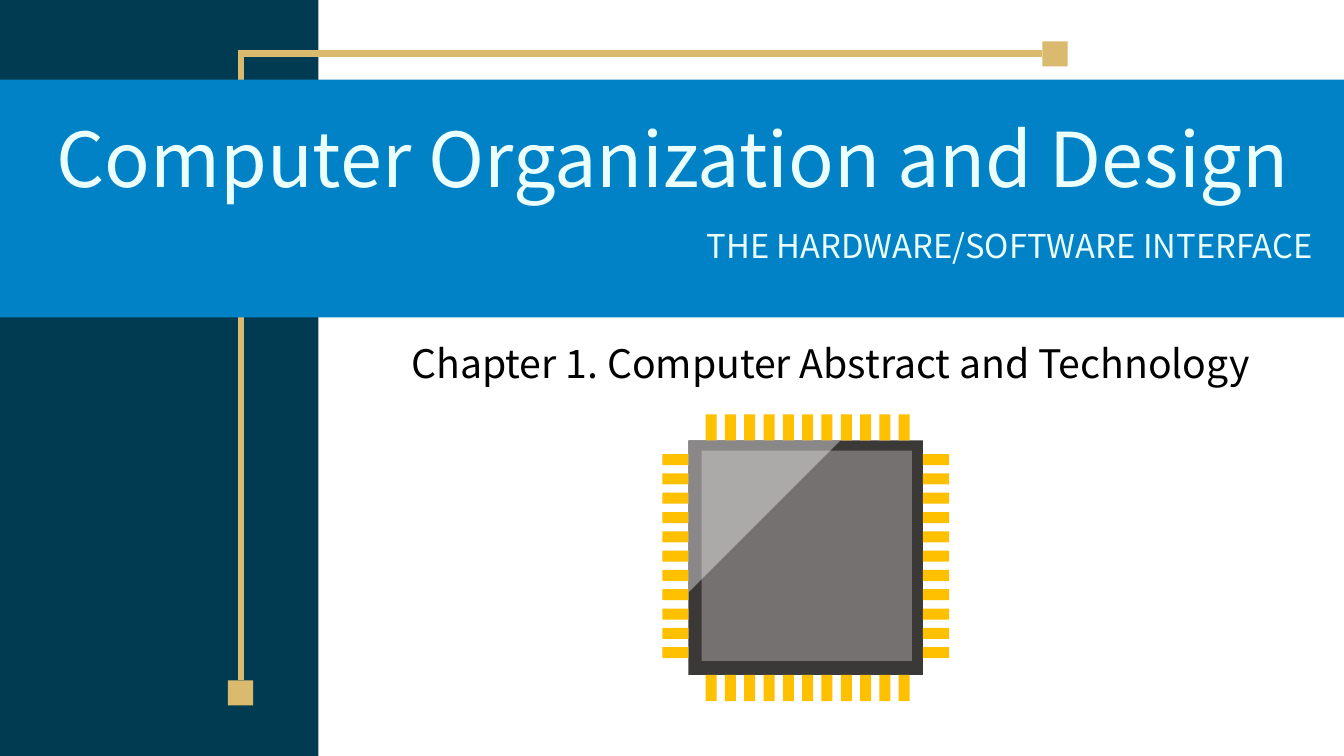
from lxml.etree import SubElement
from pptx import Presentation
from pptx.dml.color import RGBColor
from pptx.enum.shapes import MSO_CONNECTOR, MSO_SHAPE
from pptx.enum.text import MSO_ANCHOR, PP_ALIGN
from pptx.oxml.ns import qn
from pptx.util import Inches, Pt

WIDTH, HEIGHT = Inches(13.333), Inches(7.5)
FONT = "Noto Sans CJK KR"
COLORS = {
    "sidebar": "013B51",
    "banner": "0182C6",
    "gold": "DABA6F",
    "banner_text": "EBFFFF",
    "chapter_text": "000000",
    "chip": "3B3838",
    "die": "767171",
    "pin": "FFC000",
    "glare": "FFFFFF",
}
SQUARE = (1.88, 3.33)
PIN_COUNT = 11


def color(name):
    return RGBColor.from_string(COLORS[name])


def on_slide(x, y):
    """Turn percentages of the slide's width and height into lengths."""
    return round(WIDTH * x / 100), round(HEIGHT * y / 100)


CHIP_LEFT, CHIP_TOP = on_slide(51.23, 58.27)
CHIP_SIDE = round(HEIGHT * 0.31)


def on_chip(percent):
    return round(CHIP_SIDE * percent / 100)


def paint(shape, name):
    shape.shadow.inherit = False
    shape.fill.solid()
    shape.fill.fore_color.rgb = color(name)
    shape.line.fill.background()


def add_block(shapes, position, size, name):
    block = shapes.add_shape(MSO_SHAPE.RECTANGLE, *position, *size)
    paint(block, name)


def add_wire(shapes, start, end):
    wire = shapes.add_connector(MSO_CONNECTOR.STRAIGHT, *on_slide(*start), *on_slide(*end))
    wire.line.color.rgb = color("gold")
    wire.line.width = Pt(4.5)
    SubElement(wire.line._get_or_add_ln().getparent(), qn("a:effectLst"))


def add_label(slide, text, position, size, points, name, anchor):
    box = slide.shapes.add_textbox(*on_slide(*position), *on_slide(*size))
    frame = box.text_frame
    frame.word_wrap = True
    frame.vertical_anchor = anchor
    paragraph = frame.paragraphs[0]
    paragraph.alignment = PP_ALIGN.CENTER
    paragraph.line_spacing = 0.9
    run = paragraph.add_run()
    run.text = text
    run.font.size = Pt(points)
    run.font.color.rgb = color(name)
    run.font.name = FONT
    east_asian = SubElement(run.font._element, qn("a:ea"))
    east_asian.set("typeface", FONT)


def add_chip_block(shapes, x, y, width, height, name):
    """Place a block by percentages of the chip's side."""
    position = CHIP_LEFT + on_chip(x), CHIP_TOP + on_chip(y)
    add_block(shapes, position, (on_chip(width), on_chip(height)), name)


def add_pins(shapes):
    length, thickness, pitch = 11.2, 4.7, 8.24
    for index in range(PIN_COUNT):
        along = index * pitch
        for outer in (-length, 100):
            add_chip_block(shapes, 7.3 + along, outer, thickness, length, "pin")
            add_chip_block(shapes, outer, 5.8 + along, length, thickness, "pin")


def add_glare(shapes):
    reach = on_chip(64.8)
    builder = shapes.build_freeform(CHIP_LEFT, CHIP_TOP)
    builder.add_line_segments(
        [(CHIP_LEFT + reach, CHIP_TOP), (CHIP_LEFT, CHIP_TOP + reach)], close=True
    )
    glare = builder.convert_to_shape()
    paint(glare, "glare")
    tint = next(glare.element.spPr.iter(qn("a:srgbClr")))
    SubElement(tint, qn("a:alpha")).set("val", "40000")


def add_chip(slide):
    shapes = slide.shapes.add_group_shape().shapes
    add_chip_block(shapes, 0, 0, 100, 100, "chip")
    add_chip_block(shapes, 5.6, 4.3, 89.7, 89.7, "die")
    add_pins(shapes)
    add_glare(shapes)


def add_frame(slide):
    """Draw the sidebar, the gold wires with their end squares, and the banner."""
    add_block(slide.shapes, (0, 0), on_slide(23.7, 100), "sidebar")
    wires = slide.shapes.add_group_shape().shapes
    add_wire(wires, (17.93, 90), (17.93, 6.67))
    add_wire(wires, (77.55, 7.07), (17.93, 7.07))
    add_block(wires, on_slide(77.55, 5.47), on_slide(*SQUARE), "gold")
    add_block(slide.shapes, on_slide(0, 10.53), on_slide(100, 31.47), "banner")
    add_block(slide.shapes, on_slide(16.95, 90), on_slide(*SQUARE), "gold")


def main():
    presentation = Presentation()
    presentation.slide_width, presentation.slide_height = WIDTH, HEIGHT
    slide = presentation.slides.add_slide(presentation.slide_layouts[6])
    add_frame(slide)
    add_label(slide, "Computer Organization and Design", (0.75, 12.53),
              (98.55, 15.07), 54, "banner_text", MSO_ANCHOR.BOTTOM)
    add_label(slide, "Chapter 1. Computer Abstract and Technology", (26.18, 44.93),
              (71.25, 9.47), 28, "chapter_text", MSO_ANCHOR.TOP)
    add_label(slide, "THE HARDWARE/SOFTWARE INTERFACE", (51.6, 27.6),
              (47.03, 8.13), 23.4, "banner_text", MSO_ANCHOR.BOTTOM)
    add_chip(slide)
    presentation.save("out.pptx")


if __name__ == "__main__":
    main()
